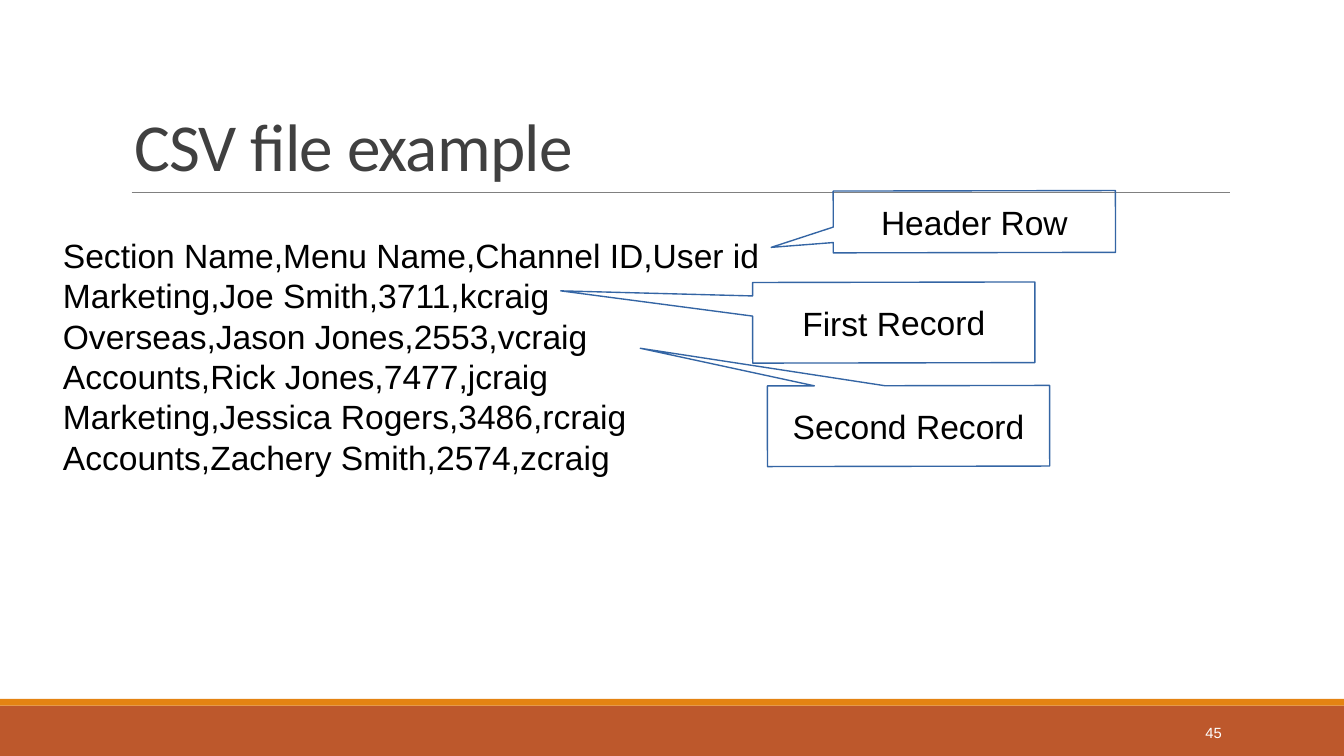
from pptx import Presentation, util as u
from pptx.dml.color import RGBColor
from pptx.enum import shapes, text
from pptx.oxml.ns import qn
from lxml import etree

WIDTH = 10
HEIGHT = WIDTH * 9 / 16
WHITE = RGBColor(0xFF, 0xFF, 0xFF)
BLACK = RGBColor(0, 0, 0)
TITLE_GREY = RGBColor(0x40, 0x40, 0x40)
RULE_GREY = RGBColor(0x80, 0x80, 0x80)
RUST = RGBColor(0xBD, 0x58, 0x2C)
ORANGE = RGBColor(0xE4, 0x83, 0x12)
CALLOUT_BLUE = RGBColor(0x34, 0x65, 0xA4)

RECORDS = [
    "Section Name,Menu Name,Channel ID,User id ",
    "Marketing,Joe Smith,3711,kcraig",
    "Overseas,Jason Jones,2553,vcraig",
    "Accounts,Rick Jones,7477,jcraig",
    "Marketing,Jessica Rogers,3486,rcraig",
    "Accounts,Zachery Smith,2574,zcraig",
]
CALLOUT_WIDTH = 2.1
# label, left, top, height, pointer offset as shares of the callout's size
CALLOUTS = [
    ("Header Row", 6.2, 1.42, 0.46, (-0.72, 0.41)),
    ("First Record", 5.6, 2.1, 0.6, (-1.18, -0.4)),
    ("Second Record", 5.71, 2.87, 0.6, (-0.95, -0.97)),
]


def inches(*lengths):
    """Convert lengths in inches to slide units."""
    return [u.Inches(length) for length in lengths]


def write(frame, lines, size, color, font="Arial", align=text.PP_ALIGN.LEFT,
          anchor=text.MSO_ANCHOR.TOP, spacing=None, wrap=True):
    """Fill a text frame with one paragraph per line."""
    frame.word_wrap = wrap
    frame.vertical_anchor = anchor
    for index, line in enumerate(lines):
        paragraph = frame.add_paragraph() if index else frame.paragraphs[0]
        paragraph.text = line
        paragraph.alignment = align
        paragraph.line_spacing = spacing
        paragraph.font.size = u.Pt(size)
        paragraph.font.name = font
        paragraph.font.color.rgb = color


def add_text(slide, box, lines, size, color, **style):
    """Add a text box and return its frame."""
    frame = slide.shapes.add_textbox(*inches(*box)).text_frame
    write(frame, lines, size, color, **style)
    return frame


def add_band(slide, top, height, color):
    """Add a full-width footer band."""
    band = slide.shapes.add_shape(shapes.MSO_SHAPE.RECTANGLE,
                                  *inches(0, top, WIDTH, height))
    band.shadow.inherit = False
    band.fill.solid()
    band.fill.fore_color.rgb = color
    band.line.fill.background()


def add_rule(slide, left, right, top):
    """Add the thin line under the title."""
    rule = slide.shapes.add_connector(shapes.MSO_CONNECTOR.STRAIGHT,
                                      *inches(left, top, right, top))
    rule.line.color.rgb = RULE_GREY
    rule.line.width = u.Pt(0.51)
    etree.SubElement(rule._element.spPr, qn("a:effectLst"))


def add_callout(slide, label, left, top, height, pointer):
    """Add an unfilled callout that points at a line of the file."""
    callout = slide.shapes.add_shape(shapes.MSO_SHAPE.RECTANGULAR_CALLOUT,
                                     *inches(left, top, CALLOUT_WIDTH, height))
    callout.rotation = 359.9
    callout.shadow.inherit = False
    callout.adjustments[0], callout.adjustments[1] = pointer
    callout.fill.background()
    callout.line.color.rgb = CALLOUT_BLUE
    callout.line.width = u.Pt(0.75)
    write(callout.text_frame, [label], 18, BLACK, align=text.PP_ALIGN.CENTER,
          anchor=text.MSO_ANCHOR.MIDDLE, wrap=False)


def main():
    """Build the slide and save it."""
    deck = Presentation()
    deck.slide_width, deck.slide_height = inches(WIDTH, HEIGHT)
    slide = deck.slides.add_slide(deck.slide_layouts[6])

    add_band(slide, 5.25, HEIGHT - 5.25, RUST)
    add_band(slide, 5.2, 0.05, ORANGE)
    add_rule(slide, 0.98, 9.15, 1.43)

    title = add_text(slide, (0.9, 0.24, 8.25, 1.19), ["CSV file example"], 36,
                     TITLE_GREY, font="Calibri",
                     anchor=text.MSO_ANCHOR.BOTTOM, spacing=0.85)
    title.paragraphs[0].runs[0]._r.get_or_add_rPr().set("spc", "-40")
    add_text(slide, (8.12, 5.3, 1.07, 0.3), ["45"], 7.9, WHITE,
             align=text.PP_ALIGN.RIGHT, anchor=text.MSO_ANCHOR.MIDDLE)
    add_text(slide, (0.37, 1.7, 9.43, 3.2), RECORDS, 18, BLACK)
    for callout in CALLOUTS:
        add_callout(slide, *callout)

    deck.save("out.pptx")


main()
